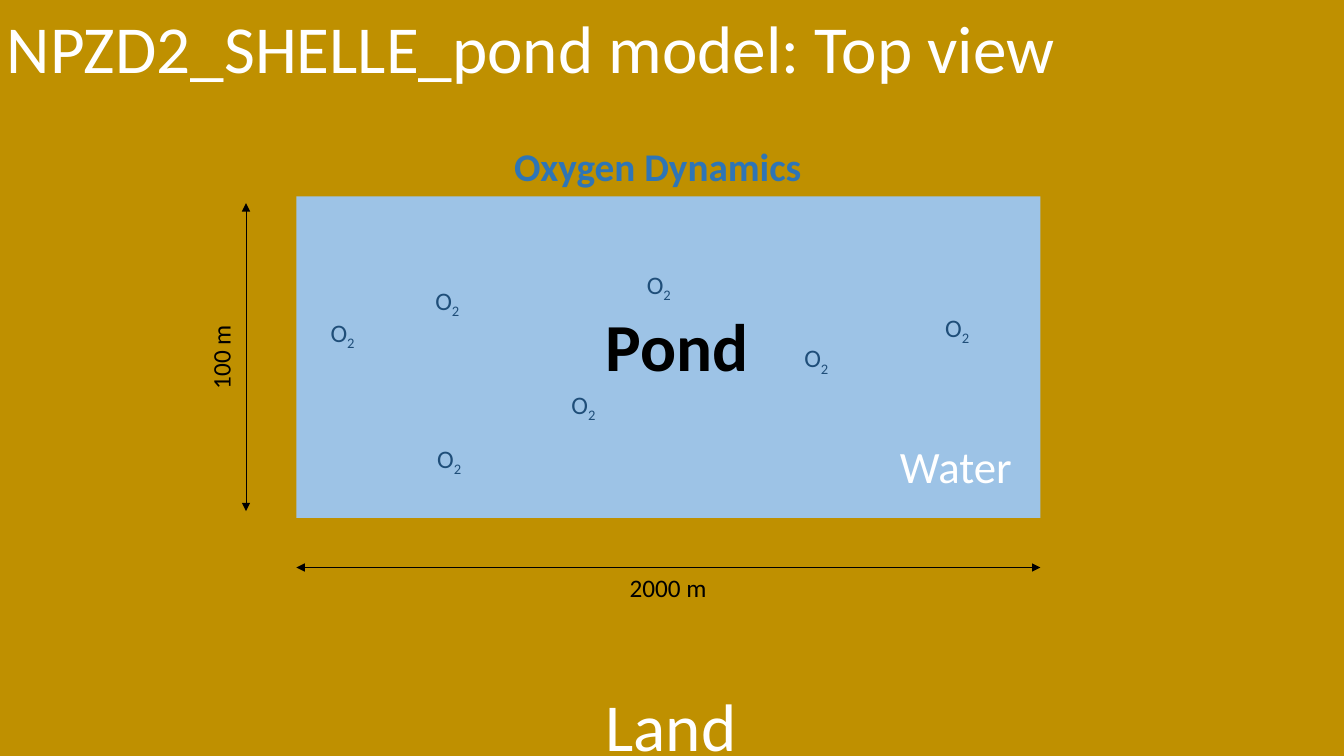
from dataclasses import dataclass

from lxml import etree
from pptx import Presentation
from pptx import util as u
from pptx.dml.color import RGBColor
from pptx.enum import shapes, text
from pptx.oxml.ns import qn


@dataclass(frozen=True)
class Theme:
    font: str = "Calibri"
    land: str = "BF9000"
    water: str = "9DC3E6"
    oxygen: str = "1F4E79"
    heading: str = "2E75B6"
    light: str = "FFFFFF"
    dark: str = "000000"
    display: int = 48
    large: int = 32
    subtitle: int = 28
    label: int = 18
    arrow_width: float = 0.5


class PondSlide:
    def __init__(self, deck, theme):
        self.theme = theme
        self.slide = deck.slides.add_slide(deck.slide_layouts[5])
        self.shapes = self.slide.shapes

    def area(self, left, top, width, height, color):
        area = self.shapes.add_shape(
            shapes.MSO_SHAPE.RECTANGLE, *map(u.Cm, (left, top, width, height)))
        area.shadow.inherit = False
        area.fill.solid()
        area.fill.fore_color.rgb = RGBColor.from_string(color)
        area.line.fill.background()
        return area

    def set_line(self, box, runs, size, color, bold=False, align=text.PP_ALIGN.LEFT):
        """Fill a box with one line; each run is (wording, baseline shift)."""
        frame = box.text_frame
        frame_format = {"word_wrap": True,
                        "auto_size": text.MSO_AUTO_SIZE.NONE,
                        "vertical_anchor": text.MSO_ANCHOR.TOP}
        for name, value in frame_format.items():
            setattr(frame, name, value)
        line = frame.paragraphs[0]
        line.alignment = align
        font_format = {"name": self.theme.font, "size": u.Pt(size), "bold": bold}
        for wording, baseline in runs:
            run = line.add_run()
            run.text = wording
            for name, value in font_format.items():
                setattr(run.font, name, value)
            run.font.color.rgb = RGBColor.from_string(color)
            if baseline:
                run.font._element.set("baseline", str(baseline))

    def title(self, left, top, width, height, wording):
        title = self.shapes.title
        place = dict(left=left, top=top, width=width, height=height)
        for name, value in place.items():
            setattr(title, name, u.Cm(value))
        self.set_line(title, [(wording, 0)], self.theme.display, self.theme.light)

    def label(self, left, top, width, height, runs, size, color, rotation=0, **style):
        box = self.shapes.add_textbox(*map(u.Cm, (left, top, width, height)))
        box.rotation = rotation
        self.set_line(box, runs, size, color, **style)

    def dimension(self, x1, y1, x2, y2):
        """Draw a double-headed dimension arrow."""
        arrow = self.shapes.add_connector(
            shapes.MSO_CONNECTOR.STRAIGHT, *map(u.Cm, (x1, y1, x2, y2)))
        arrow.line.width = u.Pt(self.theme.arrow_width)
        arrow.line.color.rgb = RGBColor.from_string(self.theme.dark)
        for end in ("a:headEnd", "a:tailEnd"):
            etree.SubElement(arrow.line._get_or_add_ln(), qn(end), type="triangle")
        etree.SubElement(arrow._element.spPr, qn("a:effectLst"))

    def send_to_back(self, shape):
        self.shapes._spTree.insert(2, shape._element)


SLIDE_WIDTH, SLIDE_HEIGHT = 33.87, 19.05
POND_LEFT, POND_TOP, POND_WIDTH, POND_HEIGHT = 7.47, 4.95, 18.75, 8.1
LENGTH_Y, BREADTH_X, BREADTH_GAP = 14.3, 6.2, 0.17
OXYGEN_SPOTS = [(10.72, 7.06), (16.05, 6.65), (20.02, 8.51), (23.57, 7.75),
                (14.15, 9.68), (10.77, 11.05), (8.08, 7.87)]


def main():
    theme = Theme()
    deck = Presentation()
    deck.slide_width, deck.slide_height = u.Cm(SLIDE_WIDTH), u.Cm(SLIDE_HEIGHT)
    page = PondSlide(deck, theme)

    land = page.area(0, 0, SLIDE_WIDTH, SLIDE_HEIGHT, theme.land)
    page.send_to_back(land)
    page.title(-0.08, 0.03, 27.15, 2.31, "NPZD2_SHELLE_pond model: Top view")
    page.label(15.01, 17.12, 3.9, 2.31, [("Land", 0)], theme.display, theme.light)

    page.area(POND_LEFT, POND_TOP, POND_WIDTH, POND_HEIGHT, theme.water)
    page.dimension(POND_LEFT, LENGTH_Y, POND_LEFT + POND_WIDTH, LENGTH_Y)
    page.label(15.62, LENGTH_Y, 3.15, 1.68, [("2000 m", 0)], theme.label, theme.dark)
    page.dimension(BREADTH_X, POND_TOP + POND_HEIGHT - BREADTH_GAP,
                   BREADTH_X, POND_TOP + BREADTH_GAP)
    page.label(3.96, 7.67, 3.48, 1.3, [("100 m", 0)], theme.label, theme.dark,
               rotation=270)

    page.label(15.01, 7.54, 4.3, 2.31, [("Pond", 0)], theme.display, theme.dark,
               bold=True)
    page.label(22.43, 10.92, 3.5, 1.63, [("Water", 0)], theme.large, theme.light)
    for left, top in OXYGEN_SPOTS:
        page.label(left, top, 1.4, 1.02, [("O", 0), ("2", -25000)],
                   theme.label, theme.oxygen)
    page.label(11.05, 3.45, 11.05, 1.45, [("Oxygen Dynamics", 0)], theme.subtitle,
               theme.heading, bold=True, align=text.PP_ALIGN.CENTER)

    deck.save("out.pptx")


if __name__ == "__main__":
    main()
